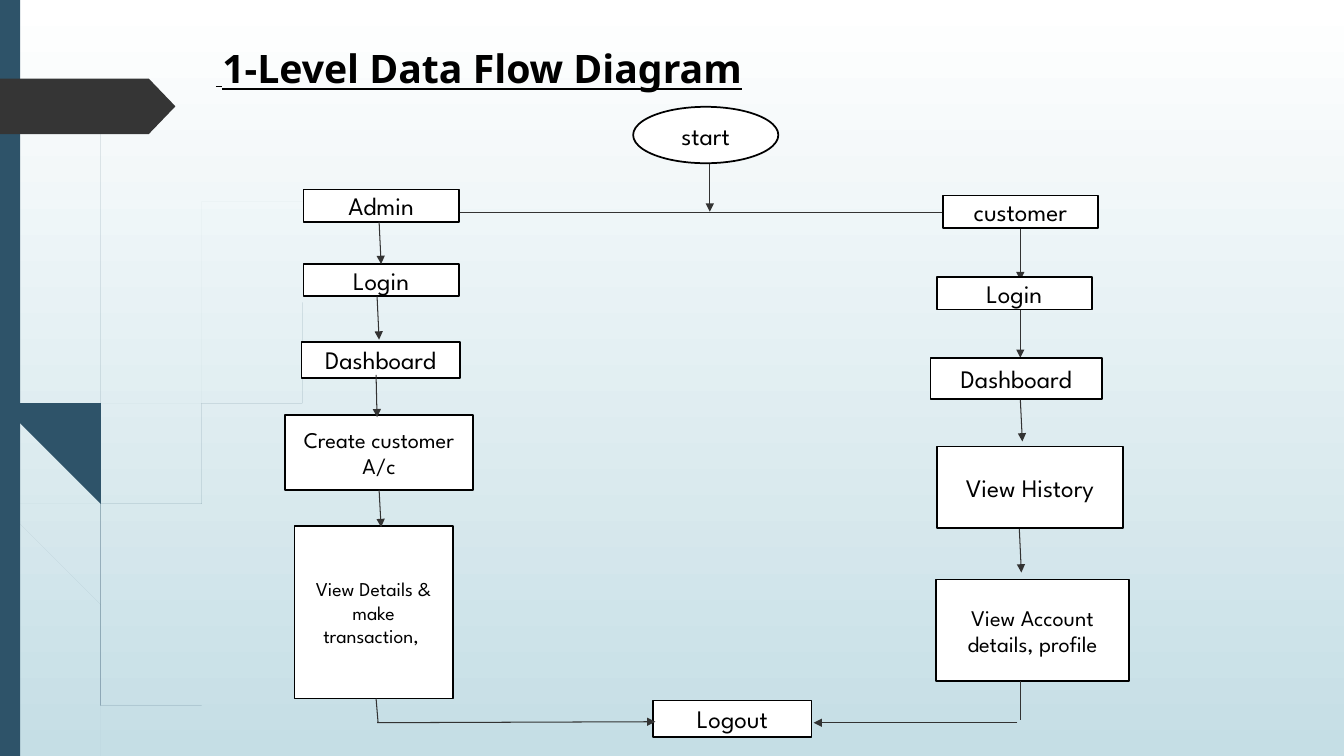
from dataclasses import dataclass

from lxml import etree
from pptx import Presentation
from pptx.dml.color import RGBColor
from pptx.enum.shapes import MSO_CONNECTOR, MSO_SHAPE
from pptx.enum.text import MSO_ANCHOR, MSO_AUTO_SIZE, PP_ALIGN
from pptx.oxml.ns import qn
from pptx.util import Inches, Pt

RECT, OVAL, MARKER = MSO_SHAPE.RECTANGLE, MSO_SHAPE.OVAL, MSO_SHAPE.PENTAGON
STRAIGHT = MSO_CONNECTOR.STRAIGHT
LEFT, CENTER = PP_ALIGN.LEFT, PP_ALIGN.CENTER
TOP, MIDDLE = MSO_ANCHOR.TOP, MSO_ANCHOR.MIDDLE


@dataclass(frozen=True)
class Theme:
    accent: str = "2E5369"
    marker: str = "353535"
    arrow: str = "333333"
    ink: str = "000000"
    paper: str = "FFFFFF"
    sky: str = "C5DEE5"
    title_font: str = "Noto Sans"
    body_font: str = "League Spartan"
    title: int = 28
    body: int = 18
    medium: int = 16
    small: int = 14


T = Theme()

# Each stem is a pair of edges, both running from tip to root
PALE_STEMS = [
    ([(0, 2.99), (0.1, 3.44), (0.17, 3.76), (0.58, 5.22), (0.84, 5.99), (1.23, 6.94), (1.5, 7.5)],
     [(0, 2.82), (0.09, 3.22), (0.14, 3.45), (0.62, 5.2), (0.85, 5.86), (1.27, 6.92), (1.55, 7.5)]),
    ([(0.11, 3.5), (0.28, 4.7), (0.65, 6.21), (0.92, 6.93), (1.01, 7.14), (1.14, 7.5)],
     [(0.11, 3.5), (0.17, 3.76), (0.31, 4.69), (0.7, 6.19), (0.93, 6.83), (1.05, 7.11), (1.24, 7.5)]),
    ([(3.12, 1.53), (2.68, 1.97), (2.28, 2.44), (1.58, 3.48), (1.07, 4.61), (0.85, 5.84),
      (0.87, 6.46), (0.93, 6.83), (1.05, 7.11)],
     [(3.12, 1.54), (2.68, 1.98), (2.29, 2.45), (1.6, 3.49), (1.1, 4.62), (0.88, 5.84),
      (0.91, 6.46), (1.03, 7.06), (1.05, 7.11)]),
]
DARK_STEMS = [
    ([(0.03, 0), (0.07, 1.1), (0.17, 2.33), (0.33, 3.55), (0.56, 4.77), (0.88, 5.92),
      (1.06, 6.45), (1.32, 7.08), (1.52, 7.49)],
     [(0.04, 0), (0.08, 1.09), (0.19, 2.32), (0.36, 3.55), (0.6, 4.72), (0.93, 5.9),
      (1.1, 6.41), (1.36, 7.06), (1.57, 7.49)]),
    ([(0.7, 1.41), (0.62, 1.93), (0.56, 2.45), (0.52, 3.49), (0.55, 4.49), (0.68, 5.57),
      (0.93, 6.59), (1.11, 7.08), (1.27, 7.49)],
     [(0.7, 1.41), (0.63, 1.93), (0.58, 2.45), (0.54, 3.49), (0.58, 4.53), (0.72, 5.56),
      (0.98, 6.57), (1.22, 7.19), (1.36, 7.49)]),
    ([(2.6, 3.44), (2.31, 3.73), (2.04, 4.05), (1.56, 4.74), (1.22, 5.51), (1.06, 6.31),
      (1.1, 6.91), (1.22, 7.19)],
     [(2.61, 3.44), (2.31, 3.74), (2.05, 4.06), (1.58, 4.76), (1.25, 5.52), (1.11, 6.33),
      (1.11, 6.56), (1.21, 7.16), (1.22, 7.19)]),
]

# Steps: label, size, x, y, width, height; arrows: x1, y1, x2, y2 (within the lane)
ADMIN_STEPS = [
    ("Admin", T.body, 0.18, 0, 1.54, 0.32),
    ("Login", T.body, 0.18, 0.74, 1.54, 0.32),
    ("Dashboard", T.body, 0.16, 1.51, 1.57, 0.36),
    ("Create customer A/c", T.medium, 0, 2.24, 1.86, 0.74),
    ("View Details & make transaction, ", T.small, 0.09, 3.34, 1.57, 1.71),
]
ADMIN_ARROWS = [(0.93, 0.32, 0.95, 0.74), (0.91, 1.06, 0.93, 1.49), (0.9, 1.84, 0.91, 2.26),
                (0.93, 2.98, 0.95, 3.35)]
CUSTOMER_STEPS = [
    ("customer", T.body, 0.12, 0, 1.54, 0.32),
    ("Login", T.body, 0.06, 0.81, 1.54, 0.32),
    ("Dashboard", T.body, 0, 1.61, 1.7, 0.41),
    ("View History", T.body, 0.06, 2.49, 1.85, 0.81),
    ("View Account details, profile", T.medium, 0.05, 3.81, 1.92, 1.01),
]
CUSTOMER_ARROWS = [(0.89, 0.33, 0.89, 0.84), (0.89, 1.13, 0.89, 1.61), (0.89, 2.02, 0.91, 2.44),
                   (0.88, 3.31, 0.9, 3.74)]


def rgb(color):
    return RGBColor.from_string(color)


def write(p, text, size=T.body, font=T.body_font, color=T.ink, align=CENTER, **style):
    p.alignment = align
    r = p.add_run()
    r.text = text
    r.font.size, r.font.name = Pt(size), font
    r.font.color.rgb = rgb(color)
    for name, value in style.items():
        setattr(r.font, name, value)


def paint(sp, color, outline=None, alpha=None):
    sp.shadow.inherit = False
    sp.fill.solid()
    sp.fill.fore_color.rgb = rgb(color)
    if alpha:
        fill = sp._element.spPr.find(qn("a:solidFill"))
        etree.SubElement(fill[0], qn("a:alpha"), val=str(alpha * 1000))
    if outline:
        sp.line.color.rgb, sp.line.width = rgb(outline), Pt(1.25)
    else:
        sp.line.fill.background()


def add_node(slide, label, size, x, y, w, h, kind=RECT):
    sp = slide.shapes.add_shape(kind, *map(Inches, (x, y, w, h)))
    paint(sp, T.paper, T.ink)
    tf = sp.text_frame
    tf.word_wrap, tf.vertical_anchor = True, MIDDLE
    write(tf.paragraphs[0], label, size)


def add_line(slide, x1, y1, x2, y2, arrow=True):
    line = slide.shapes.add_connector(STRAIGHT, *map(Inches, (x1, y1, x2, y2)))
    line.line.color.rgb, line.line.width = rgb(T.arrow), Pt(0.75)
    if arrow:
        etree.SubElement(line.line._get_or_add_ln(), qn("a:tailEnd"), type="triangle")
    etree.SubElement(line._element.spPr, qn("a:effectLst"))


def smooth_edge(points, steps=8):
    """Catmull-Rom curve through the points."""
    ends = [points[0], *points, points[-1]]
    curve = [points[0]]
    for a, b, c, d in zip(ends, ends[1:], ends[2:], ends[3:]):
        for i in range(1, steps + 1):
            t = i / steps
            curve.append(tuple(
                (2 * q + (r - p) * t + (2 * p - 5 * q + 4 * r - s) * t ** 2
                 + (3 * q - p - 3 * r + s) * t ** 3) / 2
                for p, q, r, s in zip(a, b, c, d)))
    return curve


def add_stem(slide, near, far, alpha=None):
    outline = smooth_edge(near) + smooth_edge(far)[::-1]
    builder = slide.shapes.build_freeform(*outline[0], scale=Inches(1))
    builder.add_line_segments(outline[1:], close=True)
    paint(builder.convert_to_shape(), T.accent, alpha=alpha)


def add_backdrop(slide, width, height):
    fill = slide.background.fill
    fill.gradient()
    fill.gradient_angle = 270
    for stop, color, position in zip(fill.gradient_stops, (T.paper, T.sky), (0, 1)):
        stop.color.rgb, stop.position = rgb(color), position
    for stems, alpha in ((PALE_STEMS, 20), (DARK_STEMS, None)):
        for near, far in stems:
            add_stem(slide, near, far, alpha)
    paint(slide.shapes.add_shape(RECT, 0, 0, Inches(width), Inches(height)), T.accent)
    marker = slide.shapes.add_shape(MARKER, 0, *map(Inches, (0.78, 1.74, 0.55)))
    marker.adjustments[0] = 0.48
    paint(marker, T.marker)


def add_title(slide, x, y, w, h):
    sp = slide.shapes.title
    sp.left, sp.top, sp.width, sp.height = map(Inches, (x, y, w, h))
    tf = sp.text_frame
    tf.word_wrap, tf.auto_size, tf.vertical_anchor = False, MSO_AUTO_SIZE.NONE, TOP
    for text, size in ((" ", T.body), ("1-Level Data Flow Diagram", T.title)):
        write(tf.paragraphs[0], text, size, T.title_font, align=LEFT, bold=True, underline=True)


def add_steps(slide, left, top, steps):
    for label, size, x, y, w, h in steps:
        add_node(slide, label, size, left + x, top + y, w, h)


def add_arrows(slide, left, top, arrows):
    for x1, y1, x2, y2 in arrows:
        add_line(slide, left + x1, top + y1, left + x2, top + y2)


def add_start(slide, x, y, w, h):
    add_node(slide, "start", T.body, x, y, w, h, OVAL)
    add_line(slide, x + 0.76, y + h + 0.01, x + 0.76, y + 1.04)
    add_line(slide, x - 1.72, y + 1.05, x + 3.07, y + 1.05, arrow=False)
    add_line(slide, x - 0.46, y + 2.33, x - 0.46, y + 2.33, arrow=False)


def add_logout(slide, x, y, w, h):
    add_node(slide, "Logout", T.body, x, y, w, h)
    add_line(slide, x - 2.73, y + 0.22, x - 2.75, y - 0.02, arrow=False)
    add_line(slide, x - 2.74, y + 0.22, x + 0.02, y + 0.21)
    add_line(slide, x + 3.64, y - 0.19, x + 3.64, y + 0.19, arrow=False)
    add_line(slide, x + 3.61, y + 0.22, x + 1.59, y + 0.22)


def main():
    prs = Presentation()
    prs.slide_width, prs.slide_height = Inches(13.33), Inches(7.5)
    slide = prs.slides.add_slide(prs.slide_layouts[5])
    add_backdrop(slide, 0.2, 7.5)
    add_title(slide, 2.04, 0.39, 5.82, 0.57)
    add_start(slide, 6.28, 1.06, 1.44, 0.56)
    # Admin arrows lie over their boxes, customer arrows under them
    add_steps(slide, 2.83, 1.88, ADMIN_STEPS)
    add_arrows(slide, 2.83, 1.88, ADMIN_ARROWS)
    add_arrows(slide, 9.23, 1.94, CUSTOMER_ARROWS)
    add_steps(slide, 9.23, 1.94, CUSTOMER_STEPS)
    add_logout(slide, 6.48, 6.95, 1.57, 0.36)
    prs.save("out.pptx")


if __name__ == "__main__":
    main()
